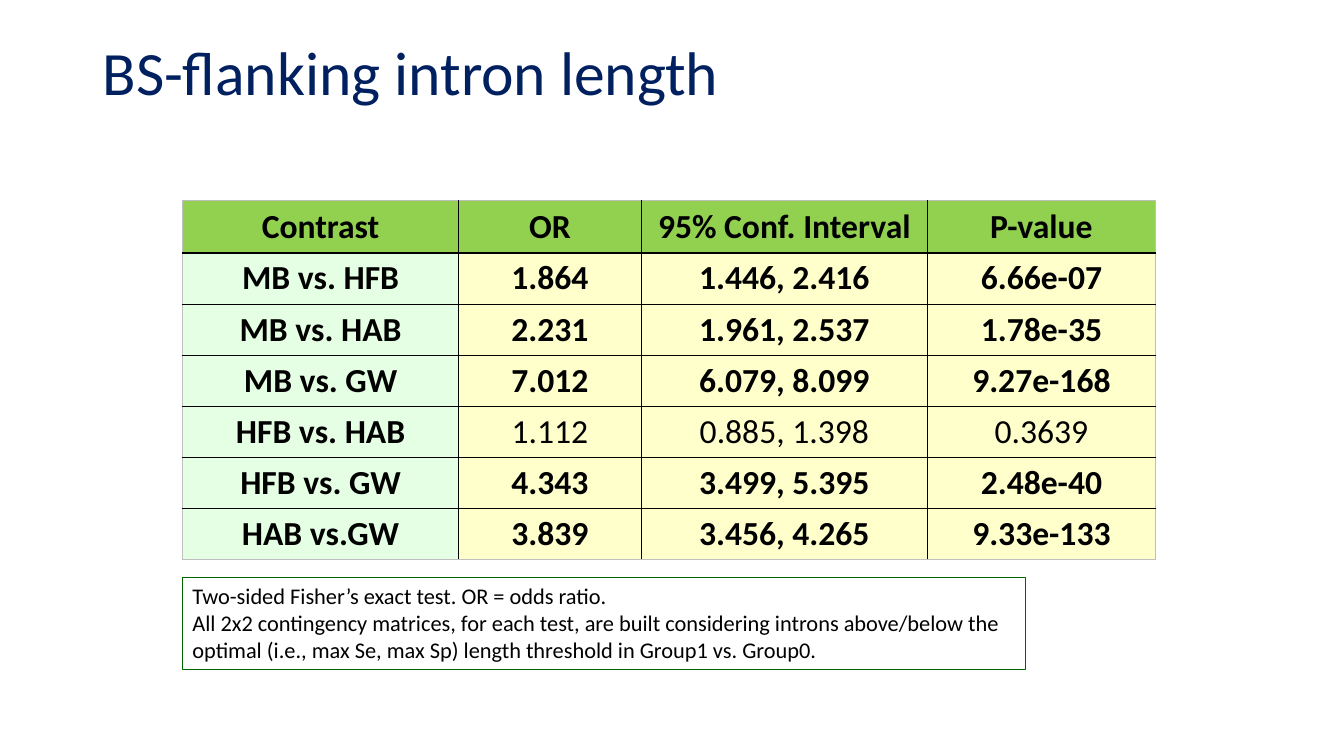
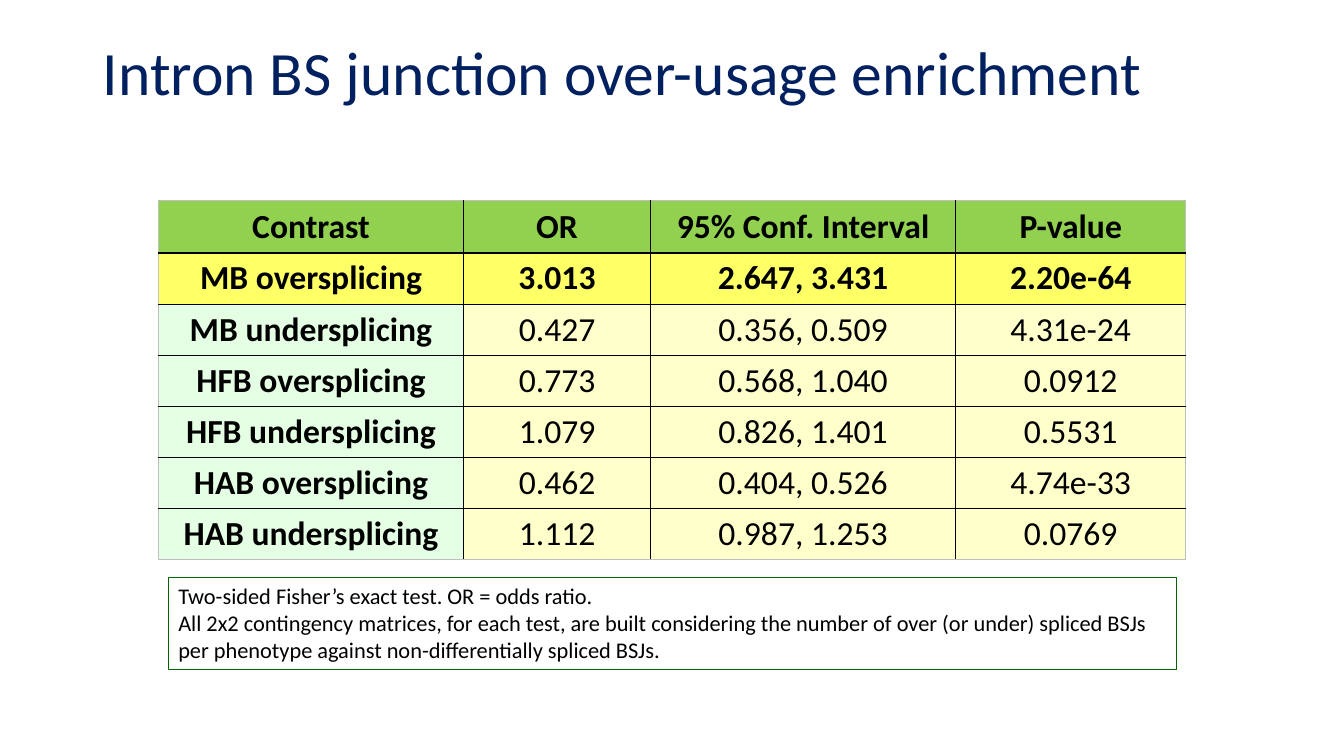
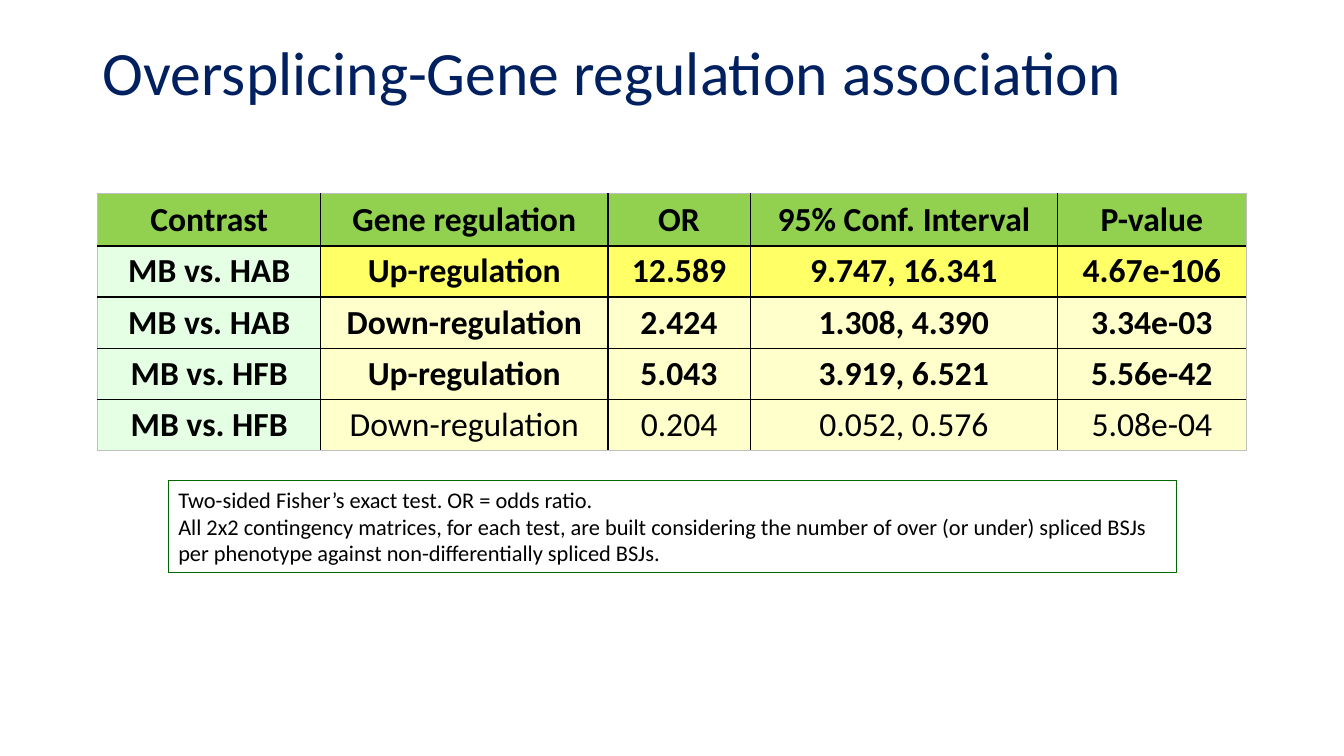
"""Build three slides of odds-ratio tables, each with a note on the test."""
from dataclasses import dataclass

from lxml import etree
from pptx import Presentation
from pptx.dml.color import RGBColor
from pptx.enum import shapes, text
from pptx.oxml import ns
from pptx.util import Inches, Pt


@dataclass(frozen=True)
class Theme:
    font: str = "Calibri"
    title: str = "002060"
    ink: str = "000000"
    header: str = "92D050"
    contrast: str = "E5FFE5"
    value: str = "FFFFCC"
    highlight: str = "FFFF66"
    outer_edge: str = "BFBFBF"
    note_edge: str = "006600"
    title_size: int = 44
    table_size: int = 24
    note_size: int = 16


THEME = Theme()
HEADER_HEIGHT, ROW_HEIGHT = 0.52, 0.5
NOTE_HEIGHT = 0.91
STATISTICS = ("OR", "95% Conf. Interval", "P-value")
TEST = "Two-sided Fisher’s exact test. OR = odds ratio."
SPLICING_NOTE = (
    TEST,
    "All 2x2 contingency matrices, for each test, are built considering the number of over (or under) spliced BSJs",
    "per phenotype against non-differentially spliced BSJs.",
)

SLIDES = [
    {
        "title": "BS-flanking intron length",
        "table_at": (1.81, 1.99),
        "widths": (2.74, 1.81, 2.84, 2.26),
        "header": ("Contrast", *STATISTICS),
        "rows": [
            ("MB vs. HFB", "1.864", "1.446, 2.416", "6.66e-07"),
            ("MB vs. HAB", "2.231", "1.961, 2.537", "1.78e-35"),
            ("MB vs. GW", "7.012", "6.079, 8.099", "9.27e-168"),
            ("HFB vs. HAB", "1.112", "0.885, 1.398", "0.3639"),
            ("HFB vs. GW", "4.343", "3.499, 5.395", "2.48e-40"),
            ("HAB vs.GW", "3.839", "3.456, 4.265", "9.33e-133"),
        ],
        "highlight_from": None,
        "note_at": (1.81, 5.73),
        "note_width": 8.36,
        "note": (
            TEST,
            "All 2x2 contingency matrices, for each test, are built considering introns above/below the",
            "optimal (i.e., max Se, max Sp) length threshold in Group1 vs. Group0.",
        ),
    },
    {
        "title": "Intron BS junction over-usage enrichment",
        "table_at": (1.57, 1.99),
        "widths": (3.03, 1.85, 3.03, 2.28),
        "header": ("Contrast", *STATISTICS),
        "rows": [
            ("MB oversplicing", "3.013", "2.647, 3.431", "2.20e-64"),
            ("MB undersplicing", "0.427", "0.356, 0.509", "4.31e-24"),
            ("HFB oversplicing", "0.773", "0.568, 1.040", "0.0912"),
            ("HFB undersplicing", "1.079", "0.826, 1.401", "0.5531"),
            ("HAB oversplicing", "0.462", "0.404, 0.526", "4.74e-33"),
            ("HAB undersplicing", "1.112", "0.987, 1.253", "0.0769"),
        ],
        "highlight_from": 0,
        "note_at": (1.67, 5.73),
        "note_width": 10,
        "note": SPLICING_NOTE,
    },
    {
        "title": "Oversplicing-Gene regulation association",
        "table_at": (0.97, 1.92),
        "widths": (2.21, 2.85, 1.41, 3.05, 1.87),
        "header": ("Contrast", "Gene regulation", *STATISTICS),
        "rows": [
            ("MB vs. HAB", "Up-regulation", "12.589", "9.747, 16.341", "4.67e-106"),
            ("MB vs. HAB", "Down-regulation", "2.424", "1.308, 4.390", "3.34e-03"),
            ("MB vs. HFB", "Up-regulation", "5.043", "3.919, 6.521", "5.56e-42"),
            ("MB vs. HFB", "Down-regulation", "0.204", "0.052, 0.576", "5.08e-04"),
        ],
        "highlight_from": 1,
        "note_at": (1.67, 4.77),
        "note_width": 10,
        "note": SPLICING_NOTE,
    },
]


def color(value):
    return RGBColor.from_string(value)


def add_run(paragraph, words, size, ink=THEME.ink, bold=False):
    run = paragraph.add_run()
    run.text = words
    run.font.name, run.font.size, run.font.bold = THEME.font, Pt(size), bold
    run.font.color.rgb = color(ink)


def set_borders(cell, outer):
    properties = cell._tc.get_or_add_tcPr()
    for side in "LRTB":
        width, ink = (0.5, THEME.outer_edge) if outer[side] else (1, THEME.ink)
        line = etree.SubElement(properties, ns.qn("a:ln" + side), w=str(Pt(width)))
        fill = etree.SubElement(line, ns.qn("a:solidFill"))
        etree.SubElement(fill, ns.qn("a:srgbClr"), val=ink)


def is_enriched(row):
    odds_ratio, _, p_value = row[-3:]
    return float(odds_ratio) > 1 and float(p_value) < 0.05


def cell_fill(row, column, highlight_from):
    if row == 0:
        return THEME.header
    if row == 1 and highlight_from is not None and column >= highlight_from:
        return THEME.highlight
    return THEME.value if column else THEME.contrast


def add_title(slide, words):
    title = slide.shapes.title
    title.left, title.top = Inches(0.92), Inches(0.36)
    title.width, title.height = Inches(11.5), Inches(0.77)
    frame = title.text_frame
    frame.auto_size = text.MSO_AUTO_SIZE.NONE
    frame.vertical_anchor = text.MSO_ANCHOR.MIDDLE
    paragraph = frame.paragraphs[0]
    paragraph.alignment, paragraph.line_spacing = text.PP_ALIGN.LEFT, 0.9
    add_run(paragraph, words, THEME.title_size, THEME.title)


def add_odds_table(slide, content):
    grid = [content["header"], *content["rows"]]
    widths = content["widths"]
    heights = [HEADER_HEIGHT] + [ROW_HEIGHT] * len(content["rows"])
    left, top = content["table_at"]
    table = slide.shapes.add_table(
        len(grid), len(widths), Inches(left), Inches(top),
        Inches(sum(widths)), Inches(sum(heights))).table
    for column, width in zip(table.columns, widths):
        column.width = Inches(width)
    for r, (values, height) in enumerate(zip(grid, heights)):
        table.rows[r].height = Inches(height)
        for c, value in enumerate(values):
            cell = table.cell(r, c)
            set_borders(cell, {"L": c == 0, "R": c == len(widths) - 1,
                               "T": r == 0, "B": r == len(grid) - 1})
            cell.fill.solid()
            cell.fill.fore_color.rgb = color(cell_fill(r, c, content["highlight_from"]))
            cell.vertical_anchor = text.MSO_ANCHOR.MIDDLE
            paragraph = cell.text_frame.paragraphs[0]
            paragraph.alignment = text.PP_ALIGN.CENTER
            add_run(paragraph, value, THEME.table_size,
                    bold=r == 0 or c == 0 or is_enriched(values))


def add_note(slide, content):
    left, top = content["note_at"]
    note = slide.shapes.add_shape(
        shapes.MSO_SHAPE.RECTANGLE, Inches(left), Inches(top),
        Inches(content["note_width"]), Inches(NOTE_HEIGHT))
    note.shadow.inherit = False
    note.fill.background()
    note.line.color.rgb, note.line.width = color(THEME.note_edge), Pt(0.75)
    frame = note.text_frame
    frame.word_wrap = True
    frame.vertical_anchor = text.MSO_ANCHOR.TOP
    for i, sentence in enumerate(content["note"]):
        paragraph = frame.add_paragraph() if i else frame.paragraphs[0]
        paragraph.alignment = text.PP_ALIGN.LEFT
        add_run(paragraph, sentence, THEME.note_size)


def main():
    deck = Presentation()
    deck.slide_width, deck.slide_height = Inches(13.33), Inches(7.5)
    title_only = deck.slide_layouts.get_by_name("Title Only")
    for content in SLIDES:
        slide = deck.slides.add_slide(title_only)
        add_title(slide, content["title"])
        add_odds_table(slide, content)
        add_note(slide, content)
    deck.save("out.pptx")


if __name__ == "__main__":
    main()
